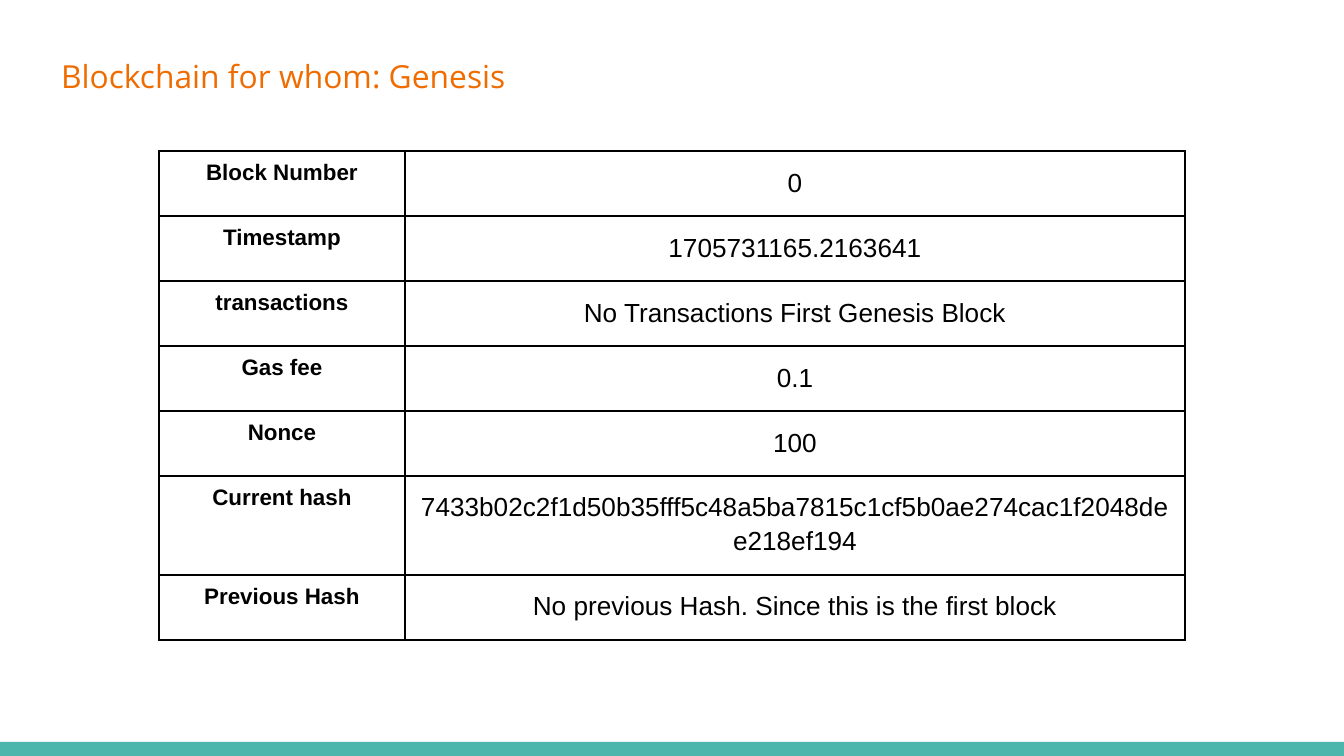
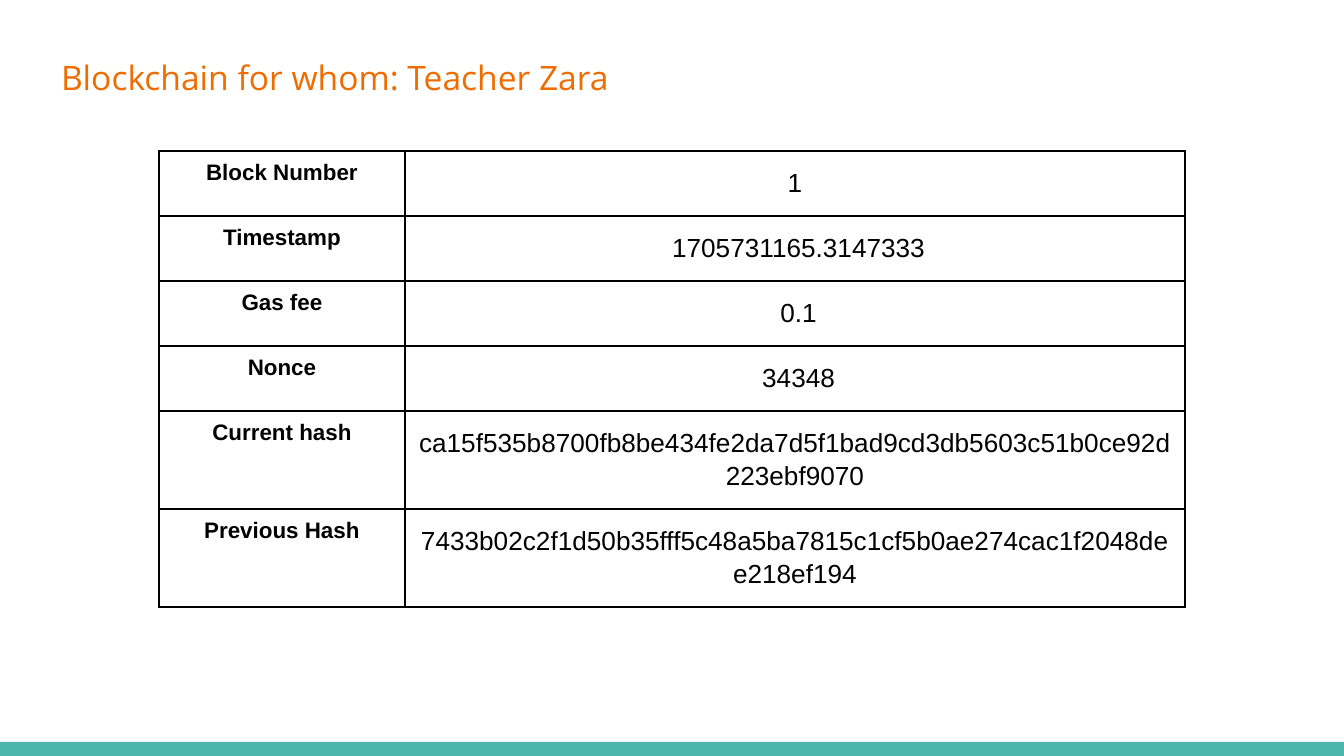
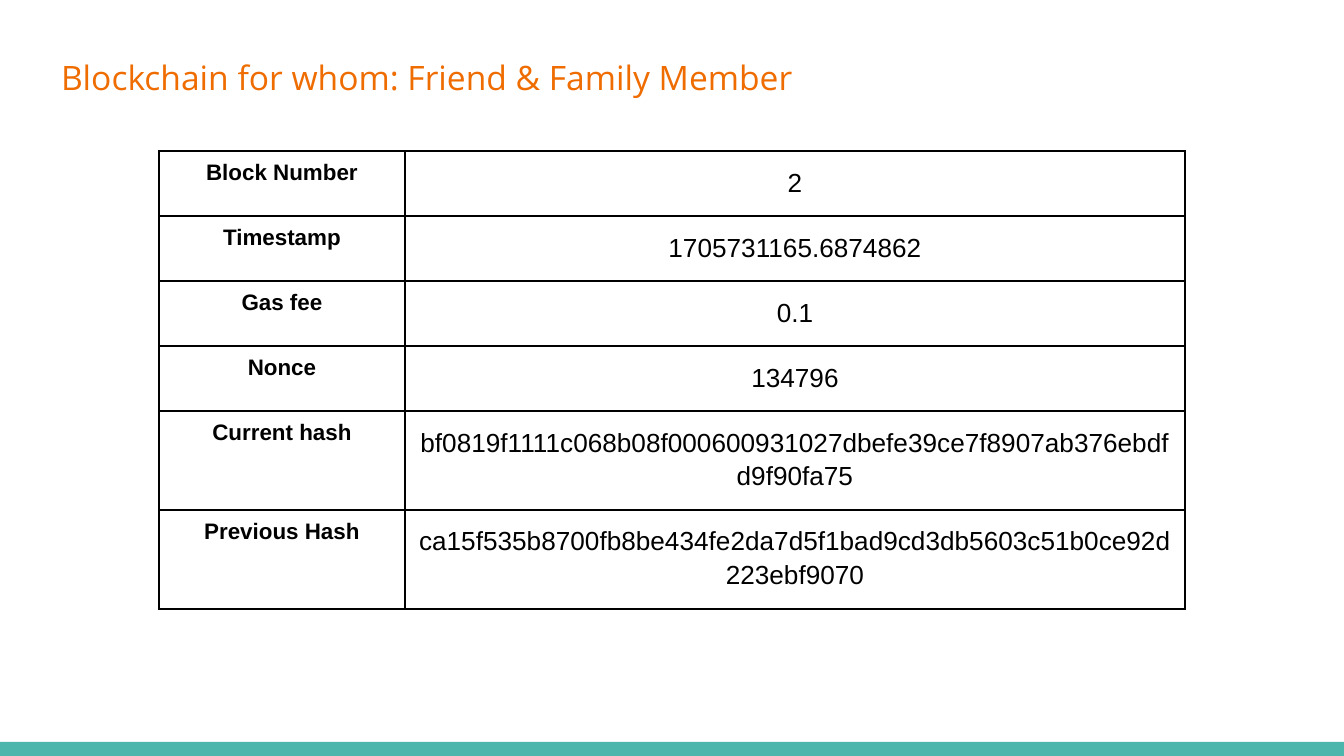
from pptx import Presentation
from pptx import util as u
from pptx.dml.color import RGBColor
from pptx.enum import shapes, text
from pptx.oxml.ns import qn
from lxml import etree

# Shared geometry in px, colours and fonts
EMU_PER_PX = 914400 / 134.4
SLIDE_W, SLIDE_H = 1344, 756
BAND_H = 14
TITLE_LEFT, TITLE_TOP, TITLE_H = 48, 44, 67
TABLE_LEFT, TABLE_TOP = 159, 151
LABEL_W, VALUE_W = 246, 780
ROW_H = 65
LABEL_INSET, VALUE_INSET = 9, 13

TEAL, ORANGE, BLACK = "4DB6AC", "EF6C00", "000000"
TITLE_FONT, TABLE_FONT = "Open Sans", "Arial"

# Hashes that link each block to the next
GENESIS_HASH = "7433b02c2f1d50b35fff5c48a5ba7815c1cf5b0ae274cac1f2048dee218ef194"
TEACHER_HASH = "ca15f535b8700fb8be434fe2da7d5f1bad9cd3db5603c51b0ce92d223ebf9070"
FAMILY_HASH = "bf0819f1111c068b08f000600931027dbefe39ce7f8907ab376ebdfd9f90fa75"
HASHES = (GENESIS_HASH, TEACHER_HASH, FAMILY_HASH)


def px(length):
    return u.Emu(round(length * EMU_PER_PX))


def colour(hex_code):
    return RGBColor.from_string(hex_code)


def set_font(paragraph, name, size, hex_code, bold=False):
    font = paragraph.font
    font.name, font.size, font.bold = name, u.Pt(size), bold
    font.color.rgb = colour(hex_code)


def set_insets(holder, inset):
    holder.margin_left = holder.margin_right = px(inset)
    holder.margin_top = holder.margin_bottom = px(inset)


def add_band(slide):
    band = slide.shapes.add_shape(shapes.MSO_SHAPE.RECTANGLE, 0, px(SLIDE_H - BAND_H),
                                  px(SLIDE_W), px(BAND_H))
    band.shadow.inherit = False
    band.fill.solid()
    band.fill.fore_color.rgb = colour(TEAL)
    band.line.fill.background()


def add_title(slide, audience, width, size):
    title = slide.shapes.add_textbox(px(TITLE_LEFT), px(TITLE_TOP), px(width), px(TITLE_H))
    frame = title.text_frame
    frame.word_wrap = True
    frame.auto_size = text.MSO_AUTO_SIZE.SHAPE_TO_FIT_TEXT
    set_insets(frame, VALUE_INSET)
    heading = frame.paragraphs[0]
    heading.text = f"Blockchain for whom: {audience}"
    set_font(heading, TITLE_FONT, size, ORANGE)


def add_borders(cell):
    properties = cell._tc.get_or_add_tcPr()
    for side in ("a:lnL", "a:lnR", "a:lnT", "a:lnB"):
        border = etree.SubElement(properties, qn(side), w=str(u.Pt(1)))
        fill = etree.SubElement(border, qn("a:solidFill"))
        etree.SubElement(fill, qn("a:srgbClr"), val=BLACK)


def fill_cell(cell, content, size, inset, bold=False):
    add_borders(cell)
    cell.fill.background()
    set_insets(cell, inset)
    paragraph = cell.text_frame.paragraphs[0]
    paragraph.text = content
    paragraph.alignment = text.PP_ALIGN.CENTER
    set_font(paragraph, TABLE_FONT, size, BLACK, bold)
    return paragraph


def add_block_table(slide, fields, hash_row_h):
    heights = [hash_row_h if value in HASHES else ROW_H for _, value in fields]
    frame = slide.shapes.add_table(len(fields), 2, px(TABLE_LEFT), px(TABLE_TOP),
                                   px(LABEL_W + VALUE_W), px(sum(heights)))
    table = frame.table
    table.first_row = table.horz_banding = False
    for column, width in zip(table.columns, (LABEL_W, VALUE_W)):
        column.width = px(width)
    for row, height, (label, value) in zip(table.rows, heights, fields):
        row.height = px(height)
        label_cell, value_cell = row.cells
        fill_cell(label_cell, label, 12, LABEL_INSET, bold=True)
        entry = fill_cell(value_cell, value, 14, VALUE_INSET)
        entry.line_spacing = 1.15
        entry.space_before = entry.space_after = u.Pt(12)


# Audience, title width, title size, hash row height, fields of the block
BLOCKS = [
    ("Genesis", 1000, 17, 99, [
        ("Block Number", "0"),
        ("Timestamp", "1705731165.2163641"),
        ("transactions", "No Transactions First Genesis Block"),
        ("Gas fee", "0.1"),
        ("Nonce", "100"),
        ("Current hash", GENESIS_HASH),
        ("Previous Hash", "No previous Hash. Since this is the first block"),
    ]),
    ("Teacher Zara", 1152, 18, 94, [
        ("Block Number", "1"),
        ("Timestamp", " 1705731165.3147333"),
        ("Gas fee", " 0.1"),
        ("Nonce", " 34348"),
        ("Current hash", TEACHER_HASH),
        ("Previous Hash", GENESIS_HASH),
    ]),
    ("Friend & Family Member", 1000, 18, 99, [
        ("Block Number", "2"),
        ("Timestamp", "1705731165.6874862"),
        ("Gas fee", "0.1"),
        ("Nonce", "134796"),
        ("Current hash", FAMILY_HASH),
        ("Previous Hash", TEACHER_HASH),
    ]),
]


def main():
    deck = Presentation()
    deck.slide_width, deck.slide_height = px(SLIDE_W), px(SLIDE_H)
    blank = deck.slide_layouts[6]
    for audience, title_w, title_size, hash_row_h, fields in BLOCKS:
        slide = deck.slides.add_slide(blank)
        add_band(slide)
        add_title(slide, audience, title_w, title_size)
        add_block_table(slide, fields, hash_row_h)
    deck.save("out.pptx")


if __name__ == "__main__":
    main()
